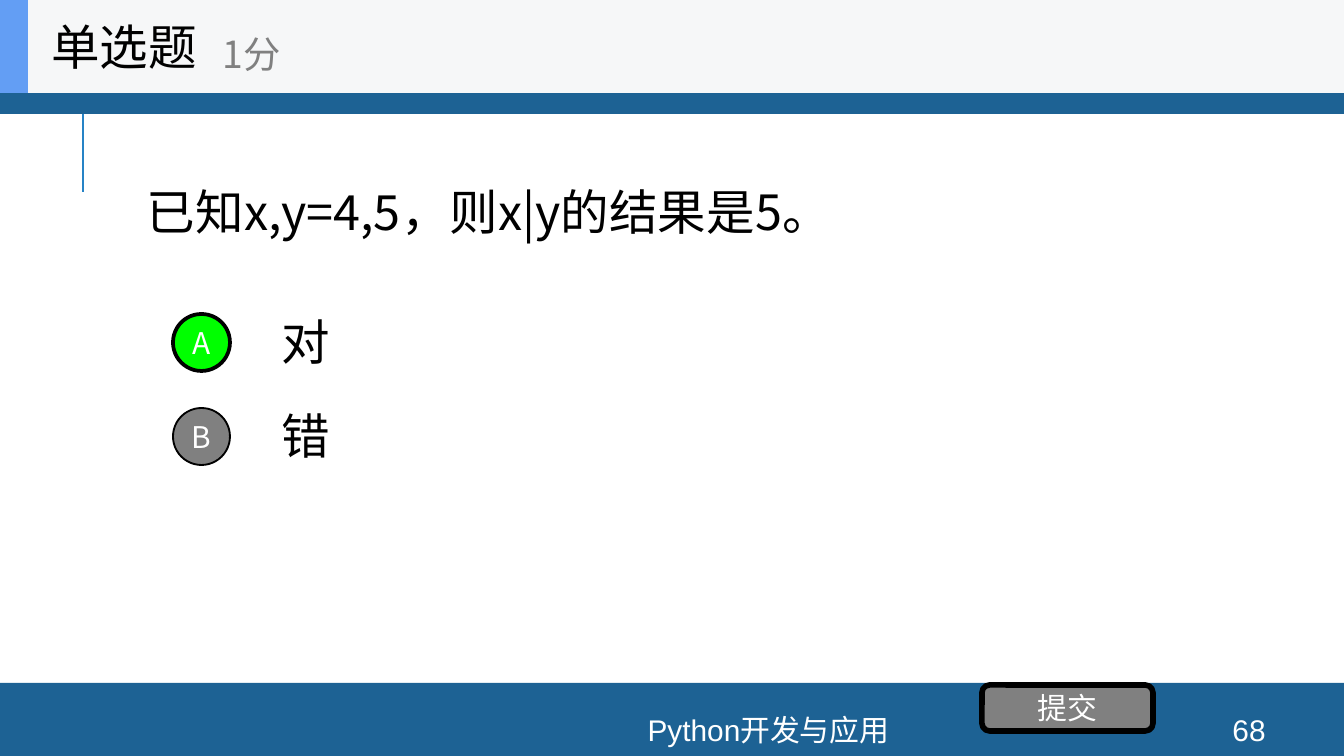
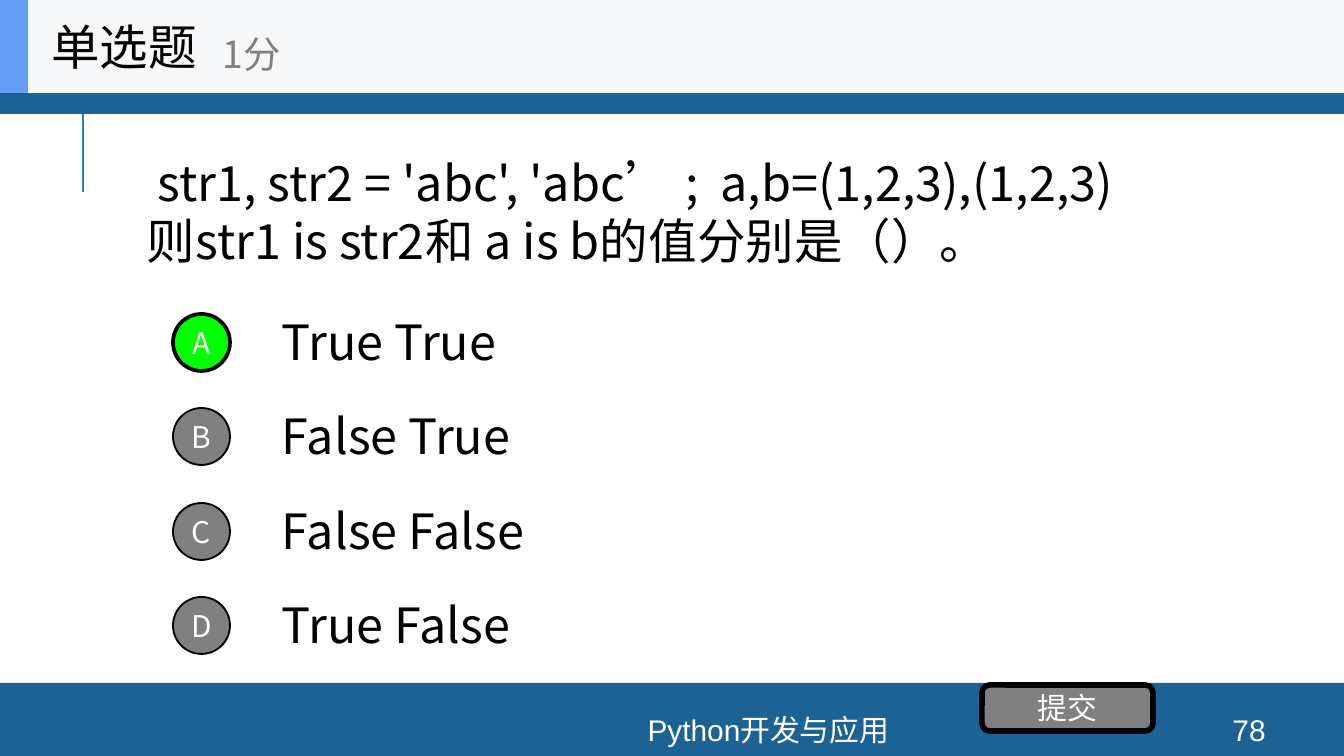
"""Build two single-choice quiz slides about Python."""
from dataclasses import dataclass

from lxml import etree
from pptx import Presentation
from pptx import util as u
from pptx.dml.color import RGBColor
from pptx.enum import shapes, text
from pptx.oxml import ns

PX = 914400 / 134.4


@dataclass(frozen=True)
class Theme:
    black: str = "000000"
    white: str = "FFFFFF"
    gray: str = "808080"
    band: str = "1D6294"
    rule: str = "2683C6"
    header: str = "F6F7F8"
    accent: str = "639EF4"
    correct: str = "00FF00"
    cjk: str = "Noto Sans CJK SC"
    latin: str = "Arial"
    large: int = 26
    medium: int = 20
    small: int = 16


theme = Theme()


def write(target, content, box=None, size=theme.large, color=theme.black,
          font=theme.cjk, align=text.PP_ALIGN.LEFT, inset=13):
    if box:
        target.left, target.top, target.width, target.height = [round(v * PX) for v in box]
    frame = target.text_frame
    frame.text = content
    frame.word_wrap = True
    frame.auto_size = text.MSO_AUTO_SIZE.NONE
    frame.vertical_anchor = text.MSO_ANCHOR.MIDDLE
    frame.margin_left = frame.margin_right = round(inset * PX)
    frame.margin_top = frame.margin_bottom = 0
    paragraph = frame.paragraphs[0]
    paragraph.alignment = align
    paragraph.space_before = u.Pt(0)
    for run in paragraph.runs:
        run.font.size = u.Pt(size)
        run.font.name = font
        run.font.color.rgb = RGBColor.from_string(color)
        east_asian = etree.SubElement(run._r.get_or_add_rPr(), ns.qn("a:ea"))
        east_asian.set("typeface", theme.cjk)
    return paragraph


def block(slide, kind, box, fill, outline=0):
    shape = slide.shapes.add_shape(kind, *[round(v * PX) for v in box])
    shape.shadow.inherit = False
    shape.fill.solid()
    shape.fill.fore_color.rgb = RGBColor.from_string(fill)
    if outline:
        shape.line.color.rgb = RGBColor.from_string(theme.black)
        shape.line.width = u.Pt(outline)
    else:
        shape.line.fill.background()
    return shape


RECT = shapes.MSO_SHAPE.RECTANGLE
CENTER = text.PP_ALIGN.CENTER
bands = [
    ((0, 683, 1344, 73), theme.band),
    ((0, -4, 1344, 118), theme.band),
    ((0, 0, 1344, 93), theme.header),
    ((0, 0, 28, 93), theme.accent),
]
label_format = dict(size=theme.small, color=theme.white, align=CENTER)
quizzes = [
    ("68", "已知x,y=4,5，则x|y的结果是5。", ["对", "错"]),
    ("78", " str1, str2 = 'abc', 'abc’ ;  a,b=(1,2,3),(1,2,3)\v则str1 is str2和 a is b的值分别是（）。",
     ["True True", "False True", "False False", "True False"]),
]

deck = Presentation()
deck.slide_width, deck.slide_height = round(1344 * PX), round(756 * PX)

for page, question, answers in quizzes:
    slide = deck.slides.add_slide(deck.slide_layouts[1])
    heading, prompt = slide.placeholders

    rule = slide.shapes.add_connector(
        shapes.MSO_CONNECTOR.STRAIGHT, *[round(v * PX) for v in (83, 192, 83, 91)])
    rule.line.color.rgb = RGBColor.from_string(theme.rule)
    rule.line.width = u.Pt(1.5)
    etree.SubElement(rule.element.spPr, ns.qn("a:effectLst"))

    for box, fill in bands:
        block(slide, RECT, box, fill)

    for content, box in [("Python开发与应用", (351, 714, 835, 31)), (page, (1195, 714, 108, 31))]:
        footer = slide.shapes.add_textbox(0, 0, 0, 0)
        write(footer, content, box, font=theme.latin, **label_format)

    slide.shapes.element.append(heading.element)
    write(heading, "单选题", (38, 0, 280, 93))
    score = slide.shapes.add_textbox(0, 0, 0, 0)
    write(score, "1分", (210, 16, 336, 75), size=theme.medium, color=theme.gray)

    slide.shapes.element.append(prompt.element)
    prompt_paragraph = write(prompt, question, (134, 93, 1075, 236))
    properties = prompt_paragraph._p.get_or_add_pPr()
    properties.set("marL", "0")
    properties.set("indent", "0")
    etree.SubElement(properties, ns.qn("a:buNone"))

    for row, answer in enumerate(answers):
        offset = row * 189 // 2
        option = slide.shapes.add_textbox(0, 0, 0, 0)
        write(option, answer, (269, 306 + offset, 941, 71))
        fill, outline = (theme.gray, 1) if row else (theme.correct, 2)
        marker = block(slide, shapes.MSO_SHAPE.OVAL, (173, 314 + offset, 57, 57), fill, outline)
        write(marker, "ABCD"[row], inset=0, **label_format)

    submit = block(slide, shapes.MSO_SHAPE.ROUNDED_RECTANGLE, (982, 685, 171, 46), theme.gray, 3)
    write(submit, "提交", inset=0, **label_format)

deck.save("out.pptx")
